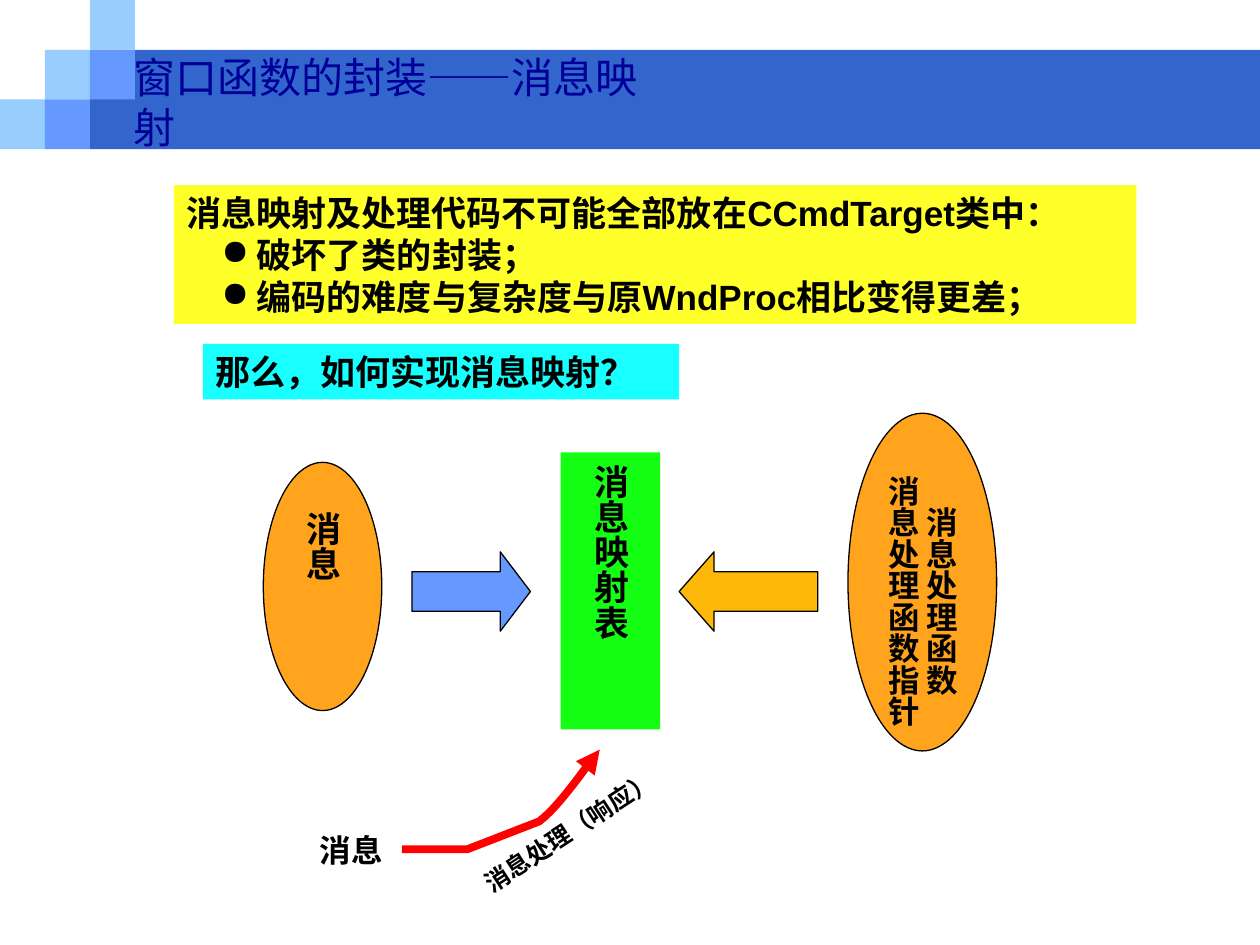
from lxml import etree
from pptx import Presentation
from pptx.dml.color import RGBColor
from pptx.enum.shapes import MSO_SHAPE
from pptx.enum.text import MSO_ANCHOR, PP_ALIGN
from pptx.oxml.ns import qn
from pptx.util import Inches, Pt

RECT, OVAL = MSO_SHAPE.RECTANGLE, MSO_SHAPE.OVAL
RIGHT, LEFT = MSO_SHAPE.RIGHT_ARROW, MSO_SHAPE.LEFT_ARROW
TOP, MIDDLE = MSO_ANCHOR.TOP, MSO_ANCHOR.MIDDLE
ALIGN_LEFT, CENTER = PP_ALIGN.LEFT, PP_ALIGN.CENTER
WIDTH, HEIGHT = Inches(10), Inches(7.5)
COLUMN, ROW = 100 / 28, 100 / 19
LATIN, CJK = "Arial", "Noto Sans CJK SC"


def rgb(value):
    return RGBColor.from_string(value)


def place(x, y):
    return round(WIDTH * x / 100), round(HEIGHT * y / 100)


def child(parent, tag, **attributes):
    return etree.SubElement(parent, qn(tag), attributes)


def add_block(slide, kind, box, fill, alpha=100, outlined=False, adjust=()):
    block = slide.shapes.add_shape(kind, *place(*box[:2]), *place(*box[2:]))
    block.shadow.inherit = False
    block.fill.solid()
    block.fill.fore_color.rgb = rgb(fill)
    if alpha < 100:
        color = block.fill._xPr.find(qn("a:solidFill"))[0]
        child(color, "a:alpha", val=str(alpha * 1000))
    if outlined:
        block.line.color.rgb = rgb("000000")
        block.line.width = Pt(0.75)
    else:
        block.line.fill.background()
    for index, value in enumerate(adjust):
        block.adjustments[index] = value
    return block


def add_bullet(paragraph):
    properties = paragraph._p.get_or_add_pPr()
    properties.set("marL", str(Inches(0.56)))
    properties.set("indent", str(Inches(-0.28)))
    color = child(properties, "a:buClr")
    child(color, "a:srgbClr", val="000000")
    child(properties, "a:buChar", char="●")


def write(holder, text, size=20, color="000000", bold=True, latin=LATIN,
          align=ALIGN_LEFT, anchor=TOP, wrap=True, vertical=False, bullets_from=None):
    frame = holder.text_frame
    frame.word_wrap = wrap
    frame.vertical_anchor = anchor
    if vertical:
        frame._txBody.bodyPr.set("vert", "eaVert")
        frame.margin_left = frame.margin_right = Inches(0.05)
        frame.margin_top = frame.margin_bottom = Inches(0.1)
    for index, line in enumerate(text.split("\n")):
        paragraph = frame.paragraphs[0] if index == 0 else frame.add_paragraph()
        paragraph.alignment = align
        if bullets_from is not None and index >= bullets_from:
            add_bullet(paragraph)
        run = paragraph.add_run()
        run.text = line
        run.font.size = Pt(size)
        run.font.bold = bold
        run.font.name = latin
        run.font.color.rgb = rgb(color)
        child(run._r.get_or_add_rPr(), "a:ea", typeface=CJK)


def add_label(slide, text, box, rotation=0, **style):
    label = slide.shapes.add_textbox(*place(*box[:2]), *place(*box[2:]))
    label.rotation = rotation
    write(label, text, **style)


def bezier(points, steps=12):
    for step in range(1, steps + 1):
        t = step / steps
        weights = ((1 - t) ** 3, 3 * t * (1 - t) ** 2, 3 * t * t * (1 - t), t ** 3)
        yield tuple(sum(w * p[axis] for w, p in zip(weights, points)) for axis in (0, 1))


def add_response_path(slide):
    start, bend, rise = (31.9, 89.87), (37.1, 89.87), (42.8, 86.93)
    curve = bezier((rise, (44.5, 85.2), (46.6, 80.93), (47.6, 79.33)))
    builder = slide.shapes.build_freeform(*place(*start))
    builder.add_line_segments([place(*p) for p in (bend, rise, *curve)], close=False)
    response = builder.convert_to_shape()
    response.shadow.inherit = False
    response.fill.background()
    response.line.color.rgb = rgb("FF0000")
    response.line.width = Pt(4.5)
    child(response.line._get_or_add_ln(), "a:tailEnd", type="triangle")


def add_header(slide):
    add_block(slide, RECT, (2 * COLUMN, ROW, 100 - 2 * COLUMN, 2 * ROW), "3366CC")
    tiles = {"99CCFF": ((0, 2), (1, 1), (2, 0)), "6699FF": ((2, 1), (1, 2))}
    for color, cells in tiles.items():
        for column, row in cells:
            add_block(slide, RECT, (column * COLUMN, row * ROW, COLUMN, ROW), color)
    add_label(slide, "窗口函数的封装——消息映射", (9.6, 4.8, 42.7, 6.67),
              size=24, color="000099", bold=False)


def add_explanation(slide):
    drawbacks = add_block(slide, RECT, (13.8, 19.6, 76.4, 14.67), "FFFF00", alpha=84)
    write(drawbacks, "消息映射及处理代码不可能全部放在CCmdTarget类中：\n"
          "破坏了类的封装；\n编码的难度与复杂度与原WndProc相比变得更差；", bullets_from=1)
    question = add_block(slide, RECT, (16.1, 36.4, 37.8, 5.87), "00FFFF", alpha=91)
    write(question, "那么，如何实现消息映射？")


def add_mapping(slide):
    nodes = (
        (OVAL, (20.9, 48.93, 9.4, 26.27), "FF9900", 89, "消息", 20),
        (OVAL, (67.3, 43.73, 11.8, 35.73), "FF9900", 89, "消息处理函数\n消息处理函数指针", 18),
        (RECT, (44.5, 47.87, 7.9, 29.33), "00FF00", 92, "消息映射表", 20),
    )
    for kind, box, fill, alpha, text, size in nodes:
        node = add_block(slide, kind, box, fill, alpha, outlined=kind == OVAL)
        write(node, text, size=size, align=CENTER, anchor=MIDDLE, wrap=False, vertical=True)
    add_block(slide, RIGHT, (32.7, 58.4, 9.4, 8.4), "6699FF", outlined=True, adjust=(0.5, 0.38))
    add_block(slide, LEFT, (53.9, 58.4, 11, 8.4), "FEB80A", outlined=True, adjust=(0.5, 0.44))


def main():
    deck = Presentation()
    deck.slide_width, deck.slide_height = WIDTH, HEIGHT
    slide = deck.slides.add_slide(deck.slide_layouts[6])
    add_header(slide)
    add_explanation(slide)
    add_mapping(slide)
    add_response_path(slide)
    add_label(slide, "消息", (24.4, 87.33, 7, 5.33), size=18, wrap=False)
    add_label(slide, "消息处理（响应）", (36.4, 85.73, 17.6, 4.53), rotation=326.9,
              size=14, wrap=False)
    deck.save("out.pptx")


if __name__ == "__main__":
    main()
